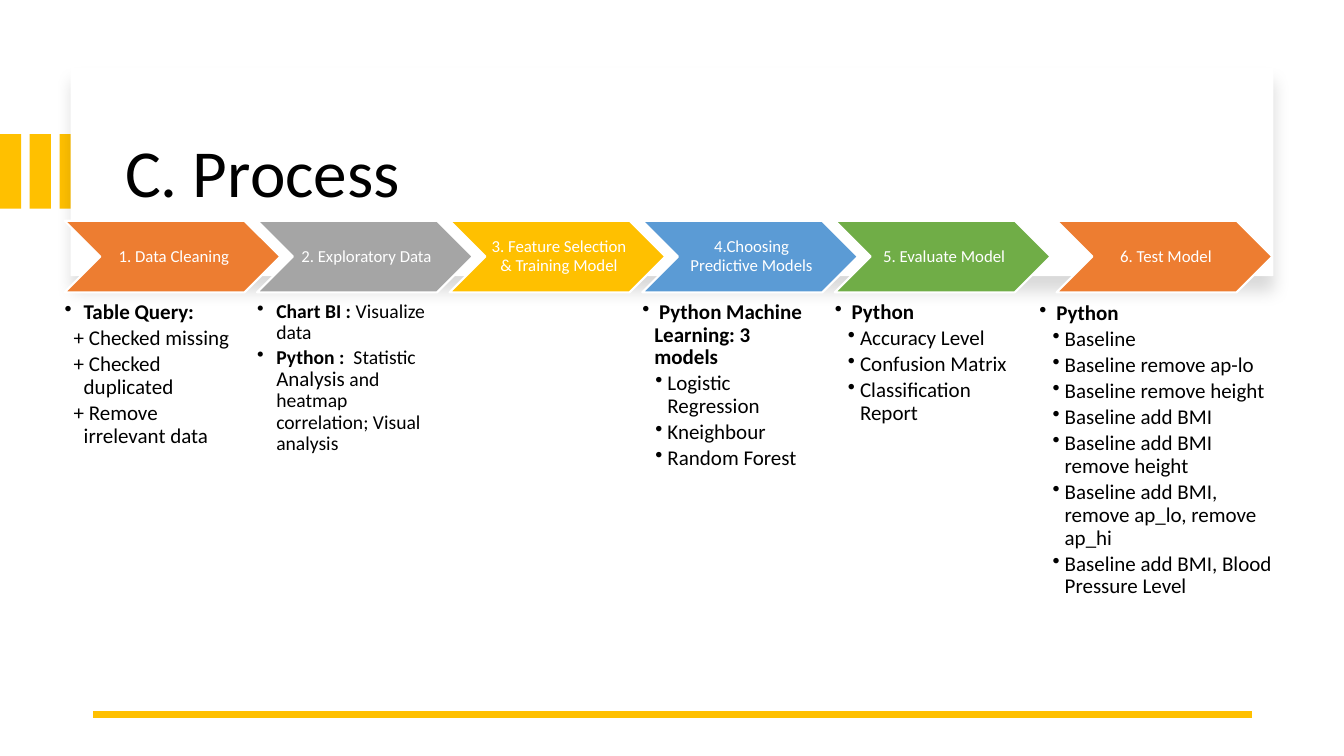
from collections import namedtuple
from dataclasses import dataclass

from lxml import etree
from pptx import Presentation
from pptx.dml.color import RGBColor
from pptx.enum.shapes import MSO_CONNECTOR, MSO_SHAPE
from pptx.enum.text import MSO_ANCHOR, MSO_AUTO_SIZE, PP_ALIGN
from pptx.oxml.ns import qn
from pptx.util import Inches, Pt


@dataclass(frozen=True)
class Theme:
    font: str = "Calibri"
    title_size: float = 48
    step_size: float = 12
    body_size: float = 15
    small_size: float = 14
    black: str = "000000"
    white: str = "FFFFFF"
    orange: str = "ED7D31"
    gray: str = "A5A5A5"
    gold: str = "FFC000"
    blue: str = "5B9BD5"
    green: str = "70AD47"


THEME = Theme()
Run = namedtuple("Run", "text bold size", defaults=(False, None))
Style = namedtuple("Style", "margin indent bullet")
Step = namedtuple("Step", "label color")
Detail = namedtuple("Detail", "left top width size paragraphs")

WIDE = Style(0.19, -0.19, True)
PLUS = Style(0.19, -0.1, False)
HEADING = Style(0.12, -0.12, True)
ITEM = Style(0.25, -0.12, True)

STEP_LEFT, STEP_TOP, STEP_PITCH = 0.64, 2.19, 1.91
STEP_WIDTH, STEP_HEIGHT = 2.14, 0.71
LAST_STEP_LEFT = 10.48
DETAIL_TOP, DETAIL_WIDTH, DETAIL_HEIGHT = 2.99, 1.71, 3.93

STEPS = [
    Step("1. Data Cleaning", THEME.orange),
    Step("2. Exploratory Data", THEME.gray),
    Step("3. Feature Selection & Training Model", THEME.gold),
    Step("4.Choosing Predictive Models", THEME.blue),
    Step("5. Evaluate Model", THEME.green),
    Step("6. Test Model", THEME.orange),
]


def step_left(index):
    return LAST_STEP_LEFT if index == len(STEPS) - 1 else STEP_LEFT + index * STEP_PITCH


def listing(style, heading, item_style, items):
    """Return a bold heading followed by plain items."""
    return [(style, [Run(heading, True)])] + [(item_style, [Run(item)]) for item in items]


DETAILS = [
    Detail(step_left(0), DETAIL_TOP, DETAIL_WIDTH, THEME.body_size, listing(
        WIDE, "Table Query:", PLUS,
        ["+ Checked missing", "+ Checked duplicated", "+ Remove irrelevant data"])),
    Detail(step_left(1), DETAIL_TOP, DETAIL_WIDTH, THEME.small_size, [
        (WIDE, [Run("Chart BI : ", True), Run("Visualize data")]),
        (WIDE, [Run("Python : ", True), Run(" Statistic "),
                Run("Analysis", size=THEME.body_size),
                Run(" and heatmap correlation; Visual analysis")]),
    ]),
    Detail(step_left(3), DETAIL_TOP, DETAIL_WIDTH, THEME.body_size, listing(
        HEADING, " Python Machine Learning: 3 models", ITEM,
        ["Logistic Regression", "Kneighbour", "Random Forest"])),
    Detail(step_left(4), DETAIL_TOP, DETAIL_WIDTH, THEME.body_size, listing(
        HEADING, " Python", ITEM,
        ["Accuracy Level", "Confusion Matrix", "Classification Report"])),
    Detail(10.31, 3.0, 2.32, THEME.body_size, listing(
        HEADING, " Python", ITEM,
        ["Baseline", "Baseline remove ap-lo", "Baseline remove height",
         "Baseline add BMI", "Baseline add BMI remove height",
         "Baseline add BMI, remove ap_lo, remove ap_hi",
         "Baseline add BMI, Blood Pressure Level"])),
]


def rgb(color):
    return RGBColor.from_string(color)


def set_font(font, size, color):
    font.name = THEME.font
    font.size = Pt(size)
    font.color.rgb = rgb(color)


def set_insets(frame, left, other):
    frame.margin_left = Inches(left)
    frame.margin_top = frame.margin_right = frame.margin_bottom = Inches(other)


def add_filled_shape(slide, kind, left, top, width, height, color):
    shape = slide.shapes.add_shape(
        kind, Inches(left), Inches(top), Inches(width), Inches(height))
    shape.shadow.inherit = False
    shape.fill.solid()
    shape.fill.fore_color.rgb = rgb(color)
    shape.line.fill.background()
    return shape


def add_soft_shadow(shape):
    effects = shape._element.spPr.find(qn("a:effectLst"))
    shadow = etree.SubElement(
        effects, qn("a:outerShdw"), blurRad=str(Pt(11)), dist=str(Pt(10)),
        dir="5400000", algn="t", rotWithShape="0")
    color = etree.SubElement(shadow, qn("a:srgbClr"), val=THEME.black)
    etree.SubElement(color, qn("a:alpha"), val="15000")


def format_title(slide, text):
    title = slide.shapes.title
    title.left, title.top = Inches(1.14), Inches(0.89)
    title.width, title.height = Inches(10.87), Inches(1.7)
    frame = title.text_frame
    frame.text = text
    frame.auto_size = MSO_AUTO_SIZE.NONE
    frame.vertical_anchor = MSO_ANCHOR.MIDDLE
    paragraph = frame.paragraphs[0]
    paragraph.alignment = PP_ALIGN.LEFT
    paragraph.line_spacing = 0.9
    set_font(paragraph.font, THEME.title_size, THEME.black)
    slide.shapes._spTree.append(title._element)  # bring the title above the card


def add_rule(slide):
    rule = slide.shapes.add_connector(
        MSO_CONNECTOR.STRAIGHT, Inches(12.42), Inches(7.09), Inches(0.92), Inches(7.09))
    rule.line.color.rgb = rgb(THEME.gold)
    rule.line.width = Pt(4.5)
    etree.SubElement(rule._element.spPr, qn("a:effectLst"))


def add_step(slide, left, step):
    chevron = add_filled_shape(slide, MSO_SHAPE.CHEVRON, left, STEP_TOP,
                               STEP_WIDTH, STEP_HEIGHT, step.color)
    chevron.line.color.rgb = rgb(THEME.white)
    chevron.line.width = Pt(1.5)
    frame = chevron.text_frame
    frame.text = step.label
    frame.word_wrap = True
    frame.vertical_anchor = MSO_ANCHOR.MIDDLE
    set_insets(frame, 0.05, 0.02)
    paragraph = frame.paragraphs[0]
    paragraph.alignment = PP_ALIGN.CENTER
    paragraph.line_spacing = 0.9
    set_font(paragraph.font, THEME.step_size, THEME.white)


def apply_style(paragraph, style):
    properties = paragraph._p.get_or_add_pPr()
    properties.set("marL", str(Inches(style.margin)))
    properties.set("indent", str(Inches(style.indent)))
    if style.bullet:
        etree.SubElement(properties, qn("a:buChar"), char="•")
    else:
        etree.SubElement(properties, qn("a:buNone"))
    paragraph.line_spacing = 0.9
    paragraph.space_after = Pt(2.4)


def add_detail(slide, detail):
    box = slide.shapes.add_textbox(Inches(detail.left), Inches(detail.top),
                                   Inches(detail.width), Inches(DETAIL_HEIGHT))
    frame = box.text_frame
    frame.word_wrap = True
    set_insets(frame, 0, 0)
    for index, (style, runs) in enumerate(detail.paragraphs):
        paragraph = frame.add_paragraph() if index else frame.paragraphs[0]
        apply_style(paragraph, style)
        set_font(paragraph.font, detail.size, THEME.black)
        for part in runs:
            run = paragraph.add_run()
            run.text = part.text
            run.font.bold = part.bold
            if part.size:
                run.font.size = Pt(part.size)


def main():
    presentation = Presentation()
    presentation.slide_width, presentation.slide_height = Inches(13.33), Inches(7.5)
    slide = presentation.slides.add_slide(presentation.slide_layouts[5])
    for index in range(3):
        add_filled_shape(slide, MSO_SHAPE.RECTANGLE, index * 0.295, 1.33, 0.21, 0.74, THEME.gold)
    card = add_filled_shape(slide, MSO_SHAPE.RECTANGLE, 0.7, 0.67, 11.93, 2.07, THEME.white)
    add_soft_shadow(card)
    format_title(slide, "C. Process")
    add_rule(slide)
    for index, step in enumerate(STEPS):
        add_step(slide, step_left(index), step)
    for detail in DETAILS:
        add_detail(slide, detail)
    presentation.save("out.pptx")


if __name__ == "__main__":
    main()
